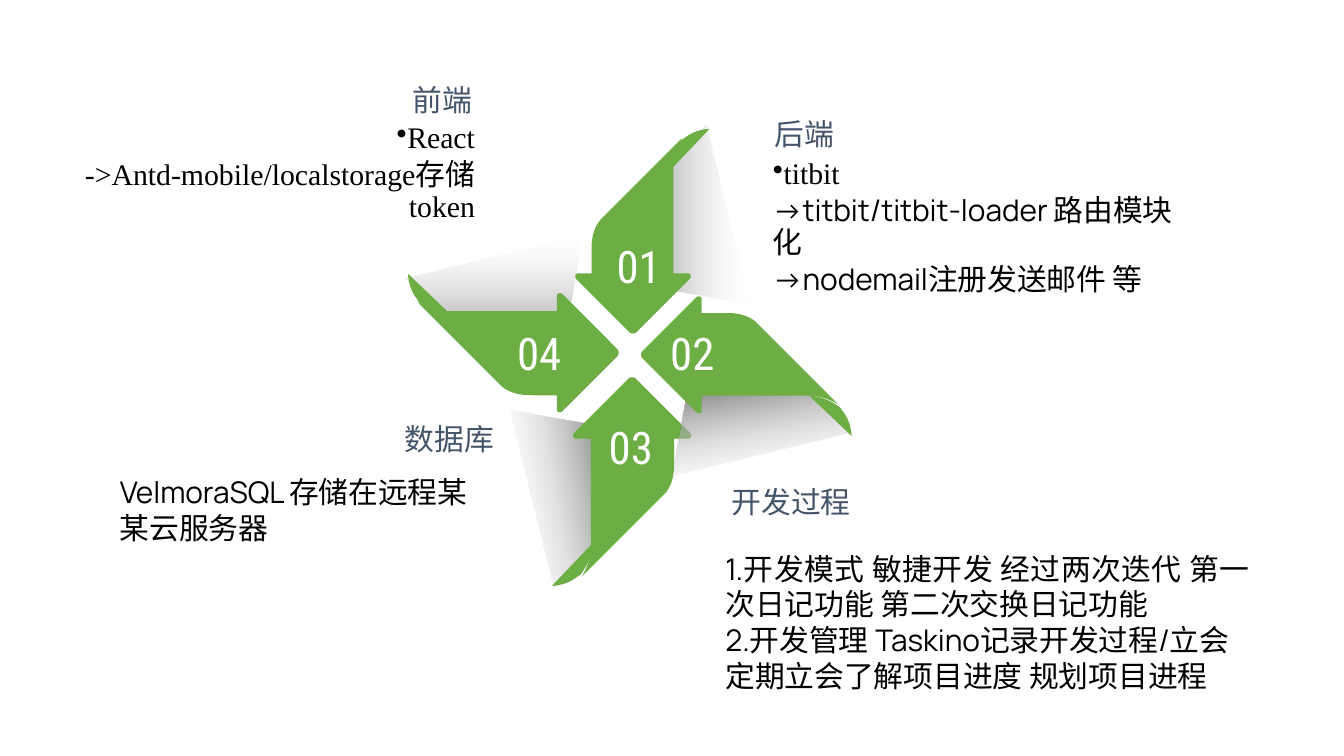
from lxml import etree
from pptx import Presentation
from pptx.dml.color import RGBColor
from pptx.enum.text import MSO_ANCHOR as Anchor, PP_ALIGN as Align
from pptx.oxml import parse_xml
from pptx.oxml.ns import nsdecls, qn
from pptx.util import Cm, Pt

GREEN, WHITE, SLATE, BLACK = "6CAE43", "FFFFFF", "44546A", "000000"
CONDENSED, SANS, SERIF = "Roboto Condensed", "Manrope", "Times New Roman"

# Blade outlines in cm from the arrow tip, pointing down.
# A pair is a straight step, six numbers are a Bezier curve.
ARROW = [
    (-1.42, -1.37), (-.08, -.03), (-.03, 0, .03, 0, .08, -.03),
    (1.42, -1.37), (1.47, -1.42, 1.47, -1.47, 1.42, -1.52),
    (1.02, -1.52), (1.02, -4.19), (1.02, -4.19, 1.02, -4.27, 1.04, -4.39),
    (1.07, -4.62, 1.17, -4.8, 1.24, -4.93), (-.79, -2.9),
    (-.79, -2.9, -1.07, -2.67, -1.04, -2.08), (-1.04, -1.52),
    (-1.42, -1.52), (-1.47, -1.47, -1.47, -1.42, -1.42, -1.37),
]
CURL = [
    (.91, -4.09), (1.93, -5.16), (1.93, -5.16, 1.57, -5.16, 1.3, -4.93),
    (1.24, -4.9, 1.19, -4.85, 1.17, -4.8),
    (1.07, -4.67, .99, -4.5, .94, -4.27),
    (.94, -4.22, .91, -4.17, .91, -4.09),
]
SHADOW = [(1.85, -5.26), (.76, -4.09), (-.13, -1.3), (2.95, -.76)]

FADE_OUT = [(0, "808080", 100), (100, "F2F2F2", 0)]
FADE_LATE = [(19, "808080", 100), (100, "FFFFFF", 0)]
FADE_IN = [(2, "F2F2F2", 0), (76, "808080", 100)]

# number, quarter turns, tip, scale, curl shift, shadow shift, fade, fade angle,
# number box
BLADES = [
    ("01", 0, (15.95, 8.41), 1, (0, 0), (0, 0), FADE_OUT, 0,
     (15.29, 5.87, 1.7, 1.65)),
    ("03", 2, (15.93, 9.5), 1.02, (.05, 0), (.1, -.08), FADE_LATE, 170,
     (15.09, 10.19, 2.11, 2.13)),
    ("04", 3, (15.6, 8.89), 1.03, (0, 0), (.03, -.15), FADE_OUT, 270,
     (12.78, 7.82, 2.11, 2.13)),
    ("02", 1, (16.15, 8.94), 1.01, (.1, -.1), (.1, -.05), FADE_IN, 260,
     (16.64, 7.82, 2.11, 2.13)),
]

# heading, its box, alignment, body box, body alignment, spaced list,
# bottom inset, (text, font, bullet) lines
TOPICS = [
    ("前端", (3.51, 1.42, 8.64, 1.68), Align.RIGHT,
     (.97, 3.02, 11.25, 2.72), Align.RIGHT, True, .13,
     [("React", SERIF, True),
      ("->Antd-mobile/localstorage存储token", SERIF, False)]),
    ("数据库", (4.06, 9.96, 8.64, 1.68), Align.RIGHT,
     (2.77, 11.48, 9.75, 2.72), Align.LEFT, False, .13,
     [("VelmoraSQL 存储在远程某某云服务器", SANS, False)]),
    ("后端", (19.28, 2.26, 8.61, 1.68), Align.LEFT,
     (19.23, 4.39, 10.64, 2.72), Align.LEFT, True, .13,
     [("titbit", SERIF, True),
      ("->titbit/titbit-loader 路由模块化", SANS, False),
      ("->nodemail注册发送邮件 等", SANS, False)]),
    ("开发过程", (18.19, 11.53, 10.06, 1.68), Align.LEFT,
     (18.03, 14.76, 13.72, 2.72), Align.JUSTIFY, False, 1.03,
     [("1.开发模式 敏捷开发 经过两次迭代 第一次日记功能 第二次交换日记功能", SANS, False),
      ("2.开发管理 Taskino记录开发过程/立会", SANS, False),
      ("定期立会了解项目进度 规划项目进程", SANS, False)]),
]


def color(hex_value):
    return RGBColor.from_string(hex_value)


def flatten(outline, steps=8):
    """Turn straight steps and Bezier curves into a list of points."""
    points = []
    for step in outline:
        if len(step) == 2:
            points.append(step)
            continue
        corners = [points[-1], step[:2], step[2:4], step[4:]]
        for i in range(1, steps + 1):
            t = i / steps
            weights = ((1 - t) ** 3, 3 * t * (1 - t) ** 2,
                       3 * t * t * (1 - t), t ** 3)
            points.append(tuple(sum(w * c[axis] for w, c in zip(weights, corners))
                                for axis in (0, 1)))
    return points


def add_outline(slide, outline, tip, turns, scale=1, shift=(0, 0)):
    placed = []
    for x, y in flatten(outline):
        x, y = scale * x + shift[0], scale * y + shift[1]
        for _ in range(turns):
            x, y = -y, x
        placed.append((Cm(tip[0] + x), Cm(tip[1] + y)))
    builder = slide.shapes.build_freeform(*placed[0])
    builder.add_line_segments(placed[1:], close=True)
    shape = builder.convert_to_shape()
    shape.shadow.inherit = False
    shape.line.fill.background()
    shape.fill.solid()
    shape.fill.fore_color.rgb = color(GREEN)
    return shape


def set_fade(shape, stops, angle):
    stop_xml = "".join(
        f'<a:gs pos="{pos * 1000}"><a:srgbClr val="{tone}">'
        f'<a:alpha val="{alpha * 1000}"/></a:srgbClr></a:gs>'
        for pos, tone, alpha in stops)
    gradient = parse_xml(
        f'<a:gradFill {nsdecls("a")} rotWithShape="1"><a:gsLst>{stop_xml}</a:gsLst>'
        f'<a:lin ang="{angle * 60000}" scaled="0"/></a:gradFill>')
    properties = shape.fill._xPr
    properties.replace(properties.find(qn("a:solidFill")), gradient)


def add_text(slide, box, lines, size, tone, align, anchor, spaced=False, bottom=.13):
    frame = slide.shapes.add_textbox(*map(Cm, box)).text_frame
    frame_format = {"word_wrap": True, "vertical_anchor": anchor,
                    "margin_bottom": Cm(bottom)}
    for name, value in frame_format.items():
        setattr(frame, name, value)
    for i, (text, font, bullet) in enumerate(lines):
        paragraph = frame.add_paragraph() if i else frame.paragraphs[0]
        paragraph.alignment = align
        run = paragraph.add_run()
        run.text = text
        for name, value in {"name": font, "size": Pt(size)}.items():
            setattr(run.font, name, value)
        run.font.color.rgb = color(tone)
        properties = paragraph._p.get_or_add_pPr()
        if spaced:
            paragraph.line_spacing = .9
            after = etree.SubElement(properties, qn("a:spcAft"))
            etree.SubElement(after, qn("a:spcPct"), val="15000")
        if bullet:
            properties.set("marL", str(Cm(.2)))
            properties.set("indent", str(-Cm(.2)))
            etree.SubElement(properties, qn("a:buChar"), char="•")


def main():
    deck = Presentation()
    deck.slide_width, deck.slide_height = Cm(33.87), Cm(19.05)
    slide = deck.slides.add_slide(deck.slide_layouts[6])

    # Pinwheel: shadow, curled end, arrow and number of each blade
    for (number, turns, tip, scale, curl_shift, shadow_shift,
         fade, angle, number_box) in BLADES:
        shadow = add_outline(slide, SHADOW, tip, turns, shift=shadow_shift)
        set_fade(shadow, fade, angle)
        add_outline(slide, CURL, tip, turns, scale, curl_shift)
        add_outline(slide, ARROW, tip, turns, scale)
        add_text(slide, number_box, [(number, CONDENSED, False)], 32, WHITE,
                 Align.LEFT, Anchor.MIDDLE)

    # Topics around the pinwheel
    for (heading, heading_box, heading_align, body_box, body_align,
         spaced, bottom, lines) in TOPICS:
        add_text(slide, heading_box, [(heading, CONDENSED, False)], 21.3, SLATE,
                 heading_align, Anchor.BOTTOM)
        add_text(slide, body_box, lines, 21.3, BLACK, body_align, Anchor.MIDDLE,
                 spaced, bottom)

    deck.save("out.pptx")


if __name__ == "__main__":
    main()
